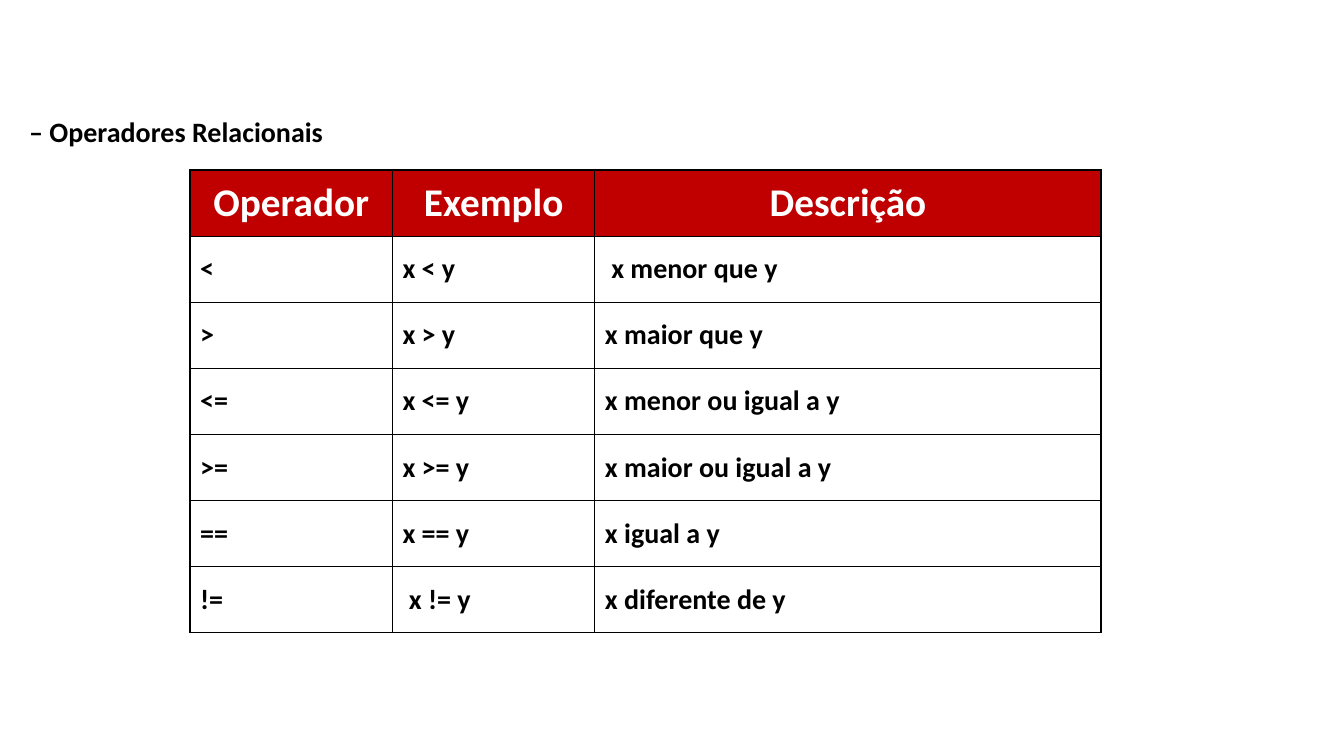
from collections import namedtuple

from lxml.etree import SubElement
from pptx import Presentation
from pptx.dml.color import RGBColor
from pptx.enum.text import MSO_ANCHOR as Anchor, PP_ALIGN as Align
from pptx.oxml.ns import qn
from pptx.util import Emu, Pt

EMU_PER_PIXEL = 914400 / 100.8
FONT = "Calibri"
BLACK, WHITE, RED = "000000", "FFFFFF", "C00000"
Box = namedtuple("Box", "left top width height")

HEADINGS = ("Operador", "Exemplo", "Descrição")
OPERATORS = (
    ("<", "x < y", " x menor que y"),
    (">", "x > y", "x maior que y"),
    ("<=", "x <= y", "x menor ou igual a y"),
    (">=", "x >= y", "x maior ou igual a y"),
    ("==", "x == y", "x igual a y"),
    ("!=", " x != y", "x diferente de y"),
)
COLUMN_SHARES = (2, 2, 5)


def px(pixels):
    """Turn pixels into EMU."""
    return Emu(round(pixels * EMU_PER_PIXEL))


def color(code):
    """Turn a hex string into a colour."""
    return RGBColor.from_string(code)


def write(frame, text, size, ink, align):
    """Add one bold run to the first paragraph of a text frame."""
    para = frame.paragraphs[0]
    para.alignment = align
    span = para.add_run()
    span.text = text
    span.font.name = FONT
    span.font.size = Pt(size)
    span.font.bold = True
    span.font.color.rgb = color(ink)


def add_borders(cell):
    """Draw a thin black line on all four sides of a cell."""
    properties = cell._tc.get_or_add_tcPr()
    for position, side in enumerate(("lnL", "lnR", "lnT", "lnB")):
        line = SubElement(properties, qn(f"a:{side}"), w=str(Pt(1)))
        fill = SubElement(line, qn("a:solidFill"))
        SubElement(fill, qn("a:srgbClr"), val=BLACK)
        properties.insert(position, line)


def place_title(page, box, text):
    """Move the title placeholder into the box and fill it."""
    title = page.shapes.title
    title.left, title.top, title.width, title.height = map(px, box)
    frame = title.text_frame
    frame.word_wrap = True
    frame.vertical_anchor = Anchor.MIDDLE
    write(frame, text, 20, BLACK, Align.LEFT)


def style_cell(cell, text, heading):
    """Write and colour one cell as a heading or as a body cell."""
    cell.vertical_anchor = Anchor.MIDDLE
    cell.fill.solid()
    cell.fill.fore_color.rgb = color(RED if heading else WHITE)
    add_borders(cell)
    if heading:
        write(cell.text_frame, text, 28, WHITE, Align.CENTER)
    else:
        write(cell.text_frame, text, 20, BLACK, Align.LEFT)


def add_operator_table(page, box):
    """Build the operator table with equal rows inside the box."""
    rows = (HEADINGS, *OPERATORS)
    table = page.shapes.add_table(len(rows), len(HEADINGS), *map(px, box)).table
    for column, share in zip(table.columns, COLUMN_SHARES):
        column.width = px(box.width * share / sum(COLUMN_SHARES))
    for index, texts in enumerate(rows):
        table.rows[index].height = px(box.height / len(rows))
        for cell, text in zip(table.rows[index].cells, texts):
            style_cell(cell, text, heading=index == 0)


def build_operator_slide(deck, box):
    """Add the slide on relational operators."""
    page = deck.slides.add_slide(deck.slide_layouts[5])
    place_title(page, Box(box.left + 19, box.top + 106, 1159, 50),
                "– Operadores Relacionais")
    add_operator_table(page, Box(box.left + 190, box.top + 170, 911, 463))


deck = Presentation()
slide_box = Box(0, 0, 1344, 756)
deck.slide_width, deck.slide_height = px(slide_box.width), px(slide_box.height)
build_operator_slide(deck, slide_box)
deck.save("out.pptx")
